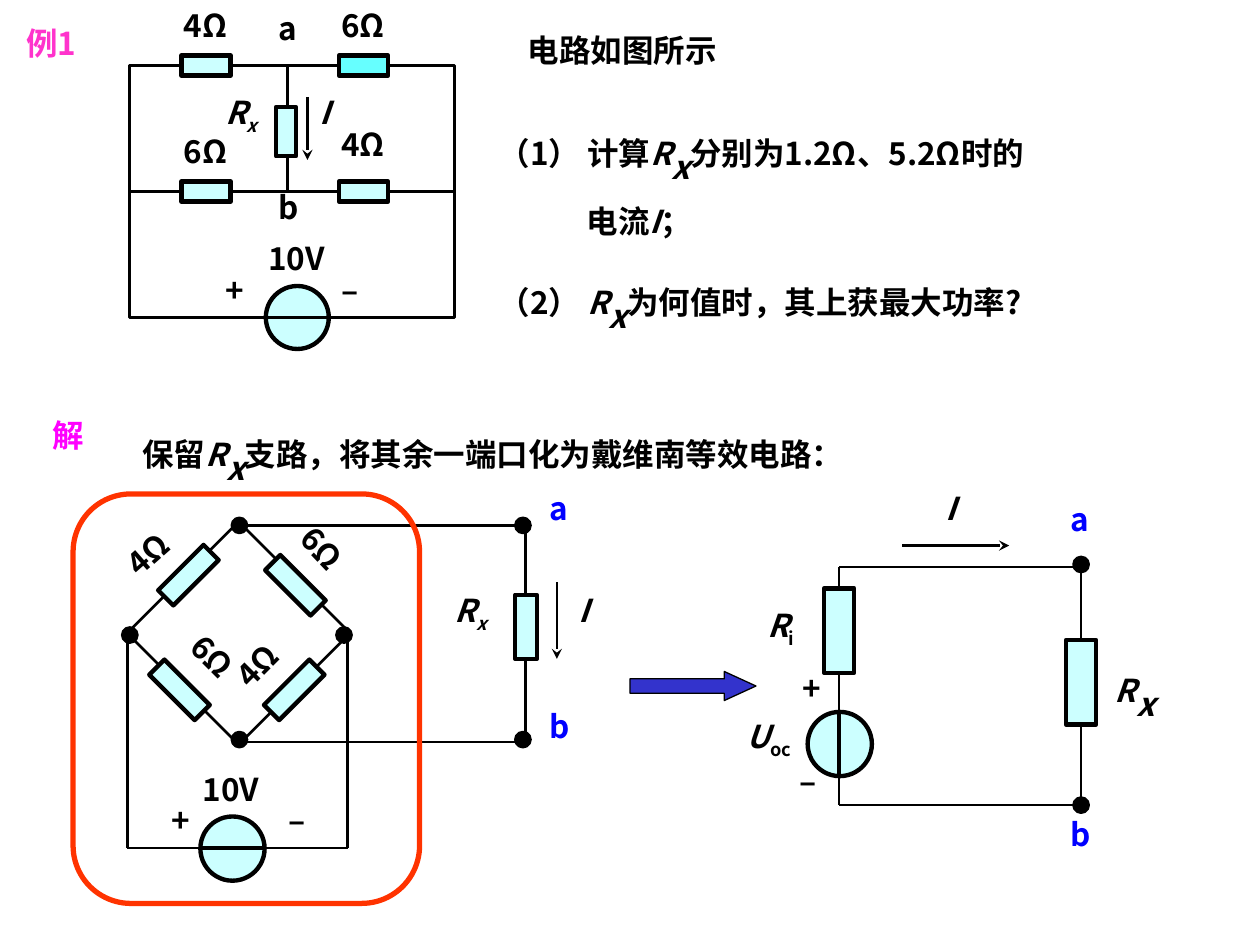
import dataclasses

import pptx
import pptx.dml.color
import pptx.enum.shapes
import pptx.enum.text
import pptx.oxml
import pptx.oxml.ns
import pptx.util
from lxml import etree

Preset = pptx.enum.shapes.MSO_SHAPE
qn = pptx.oxml.ns.qn
COLUMNS, ROWS = 100, 75


@dataclasses.dataclass(frozen=True)
class Theme:
    font: str = "Noto Sans CJK SC"
    body: int = 18
    large_index: int = 32
    ink: str = "000000"
    terminal: str = "0000FF"
    example: str = "FF33CC"
    solution: str = "FF00FF"
    component: str = "CCFFFF"
    bright_component: str = "66FFFF"
    arrow: str = "3333CC"
    enclosure: str = "FF3300"
    wire: float = 1.5
    outline: float = 2.5


THEME = Theme()


def rgb(code):
    return pptx.dml.color.RGBColor.from_string(code)


def add_run(paragraph, text, color=THEME.ink, size=THEME.body, italic=False, index=False):
    run = paragraph.add_run()
    run.text = text
    font = run.font
    font.size, font.bold, font.italic = pptx.util.Pt(size), True, italic
    font.color.rgb = rgb(color)
    font.name = THEME.font
    properties = run._r.get_or_add_rPr()
    etree.SubElement(properties, qn("a:ea"), typeface=THEME.font)
    if index:
        properties.set("baseline", "-25000")


def italic(text):
    return text, {"italic": True}


def index(text, **style):
    return text, {"index": True, **style}


CURRENT = italic("I")
R_SMALL = [italic("R"), index("x", italic=True)]
R_LARGE = [italic("R"), index("x", italic=True, size=THEME.large_index)]


class CircuitSlide:
    """Draws on one slide; lengths are in columns and rows of a 100 by 75 grid."""

    def __init__(self, deck, theme):
        self.theme = theme
        self.shapes = deck.slides.add_slide(deck.slide_layouts[6]).shapes
        self.column = deck.slide_width / COLUMNS
        self.row = deck.slide_height / ROWS

    def place(self, x, y):
        return round(x * self.column), round(y * self.row)

    def label(self, x, y, width, *runs, height=5, color=None, angle=0,
              continuation=(), indent=0, centred=False):
        """Each run is a string or a (string, style) pair; continuation is a second paragraph."""
        box = self.shapes.add_textbox(*self.place(x, y), *self.place(width, height))
        box.rotation = angle
        frame = box.text_frame
        frame.word_wrap = not centred
        frame.auto_size = pptx.enum.text.MSO_AUTO_SIZE.SHAPE_TO_FIT_TEXT
        paragraph = frame.paragraphs[0]
        if centred:
            paragraph.alignment = pptx.enum.text.PP_ALIGN.CENTER
        self.fill_paragraph(paragraph, runs, color)
        if continuation:
            paragraph = frame.add_paragraph()
            paragraph.space_before = pptx.util.Pt(self.theme.body / 2)
            paragraph._p.get_or_add_pPr().set("marL", str(round(indent * self.column)))
            self.fill_paragraph(paragraph, continuation, color)

    def fill_paragraph(self, paragraph, runs, color):
        for run in runs:
            text, style = (run, {}) if isinstance(run, str) else run
            add_run(paragraph, text, color=color or self.theme.ink, **style)

    def shape(self, preset, x, y, width, height, fill=None, line=None, weight=None, angle=0):
        shape = self.shapes.add_shape(preset, *self.place(x, y), *self.place(width, height))
        shape.shadow.inherit = False
        shape.rotation = angle
        if fill:
            shape.fill.solid()
            shape.fill.fore_color.rgb = rgb(fill)
        else:
            shape.fill.background()
        shape.line.color.rgb = rgb(line or self.theme.ink)
        shape.line.width = pptx.util.Pt(weight or self.theme.wire)
        return shape

    def resistor(self, x, y, width, height, angle=0, fill=None):
        self.shape(Preset.RECTANGLE, x, y, width, height, fill or self.theme.component,
                   weight=self.theme.outline, angle=angle)

    def node(self, x, y, size=1.2):
        self.shape(Preset.OVAL, x, y, size, size, self.theme.ink)

    def source(self, x, y, size):
        self.shape(Preset.OVAL, x, y, size, size, self.theme.component,
                   weight=self.theme.outline)

    def wire(self, x1, y1, x2, y2, weight=None, arrow=False):
        wire = self.shapes.add_connector(pptx.enum.shapes.MSO_CONNECTOR.STRAIGHT,
                                         *self.place(x1, y1), *self.place(x2, y2))
        wire.line.color.rgb = rgb(self.theme.ink)
        wire.line.width = pptx.util.Pt(weight or self.theme.wire)
        properties = wire._element.spPr
        if arrow:
            etree.SubElement(properties.find(qn("a:ln")), qn("a:tailEnd"), type="stealth")
        etree.SubElement(properties, qn("a:effectLst"))
        return wire


def draw_bridge(slide):
    theme = slide.theme
    for name, y in (("a", 38.3), ("b", 55.6)):
        slide.label(42.6, y, 3.7, name, color=theme.terminal)
    slide.label(12.6, 63.1, 3.7, "+")
    slide.label(21.9, 63.1, 4.5, "–")
    slide.label(15.1, 60.6, 10.1, "10V")
    for x, y, width, value, angle in ((17.6, 49.7, 8.2, "4Ω", 314.8), (22.2, 42, 7.3, "6Ω", 46.4),
                                      (13.5, 50.6, 7.4, "6Ω", 44.9), (9.2, 41.4, 6.7, "4Ω", 318.6)):
        slide.label(x, y, width, value, angle=angle)
    for ends in ((10.1, 50.3, 10.1, 67.3), (27.6, 50.4, 27.6, 67.3), (10.1, 67.3, 27.6, 67.3),
                 (18.4, 58.9, 41.7, 58.9), (19.2, 41.7, 41.7, 41.7), (41.7, 58.9, 41.7, 41.2)):
        slide.wire(*ends)
    slide.wire(44.2, 46.2, 44.2, 52.3, arrow=True)
    slide.label(44.9, 46.4, 3.5, CURRENT)
    slide.label(35.1, 46.4, 6.7, *R_SMALL)
    slide.shape(Preset.DIAMOND, 10.1, 41.4, 17.7, 17.7)
    for x, y, angle in ((22.5, 52.2, 45), (14.1, 43.1, 45), (13.4, 52.2, 315),
                        (22.6, 43.9, 315), (40.9, 47.2, 0)):
        slide.resistor(x, y, 1.7, 5.1, angle)
    for x in (18.4, 40.9):
        for y in (41.1, 58.1):
            slide.node(x, y)
    for x in (9.7, 26.7):
        slide.node(x, 49.8)
    slide.source(15.9, 64.8, 5.1)
    slide.wire(15.9, 67.3, 20.9, 67.3, theme.outline)


def draw_equivalent(slide):
    theme = slide.theme
    slide.label(87.5, 50.8, 8.4, *R_LARGE)
    slide.wire(71.6, 43.3, 80.1, 43.3, arrow=True)
    slide.label(74.1, 38.3, 6, CURRENT)
    for name, y in (("a", 39.2), ("b", 64.2)):
        slide.label(84, y, 6, name, color=theme.terminal)
    slide.label(58.3, 56.4, 9.1, italic("U"), index("oc"))
    slide.label(62.7, 52.6, 4.8, "+")
    slide.label(62.5, 60, 6, "–")
    left, right, top, bottom = 66.6, 85.8, 45, 63.9
    for x in (left, right):
        slide.wire(x, top, x, bottom)
    for y in (top, bottom):
        slide.wire(left, y, right, y)
    slide.label(59.9, 47.6, 8.4, italic("R"), index("i"))
    for x, y in ((84.6, 50.8), (65.4, 46.7)):
        slide.resistor(x, y, 2.4, 6.7)
    slide.source(64.1, 56.5, 5.1)
    slide.wire(left, 56.5, left, 61.5, theme.outline)
    for y in (44.2, 63.3):
        slide.node(85.2, y)


def draw_example(slide):
    theme = slide.theme
    slide.label(1.1, 1.4, 12.5, "例1", color=theme.example)
    loop = slide.shape(Preset.RECTANGLE, 10.3, 5.2, 25.8, 20)
    middle = slide.wire(10.3, 15.2, 36.1, 15.2)
    middle.begin_connect(loop, 1)
    middle.end_connect(loop, 3)
    slide.wire(22.8, 5.2, 22.8, 15.2)
    slide.wire(24.4, 7.7, 24.4, 12.7, arrow=True)
    slide.label(24.4, 6.9, 4.2, CURRENT)
    slide.resistor(21.9, 8.5, 1.6, 3.9)
    slide.label(16.9, 6.9, 5.8, *R_SMALL)
    for name, y in (("a", 0.2), ("b", 14.4)):
        slide.label(21.1, y, 4.2, name)
    slide.source(21.1, 22.7, 5)
    slide.wire(20.9, 25.2, 26.3, 25.2)
    slide.label(16.9, 21, 4.2, "+")
    slide.label(26.1, 21, 5, "–")
    slide.label(20.3, 18.5, 9.2, "10V")
    for x, y, width, value in ((26.1, 9.4, 6.7, "4Ω"), (26.1, 0, 6.7, "6Ω"),
                               (13.6, 10, 8.3, "6Ω"), (13.6, 0, 7.5, "4Ω")):
        slide.label(x, y, width, value)
    for x, y, fill in ((14.4, 4.4, theme.component), (26.9, 4.4, theme.bright_component),
                       (14.4, 14.4, theme.component), (26.9, 14.4, theme.component)):
        slide.resistor(x, y, 3.9, 1.6, fill=fill)
    slide.label(38.6, 8.2, 56.3, "（1） 计算", *R_LARGE, "分别为1.2Ω、5.2Ω时的", height=11,
                continuation=("电流", CURRENT, "；"), indent=7)
    slide.label(38.6, 20, 59.1, "（2） ", *R_LARGE, "为何值时，其上获最大功率?")
    slide.label(38.4, 2, 22, "电路如图所示", centred=True)


def main():
    deck = pptx.Presentation()
    deck.slide_width, deck.slide_height = pptx.util.Inches(10), pptx.util.Inches(7.5)
    slide = CircuitSlide(deck, THEME)
    slide.label(3.2, 32.5, 14.3, "解", color=THEME.solution)
    slide.label(10.3, 32.1, 85.8, "保留", *R_LARGE, "支路，将其余一端口化为戴维南等效电路：")
    arrow = slide.shape(Preset.RIGHT_ARROW, 50, 53.3, 10, 2.3, THEME.arrow, weight=0.75)
    arrow.adjustments[1] = 1.09
    draw_bridge(slide)
    draw_equivalent(slide)
    slide.shape(Preset.FLOWCHART_ALTERNATE_PROCESS, 5.8, 39.2, 27.5, 32.5,
                line=THEME.enclosure, weight=3)
    draw_example(slide)
    deck.save("out.pptx")


if __name__ == "__main__":
    main()
